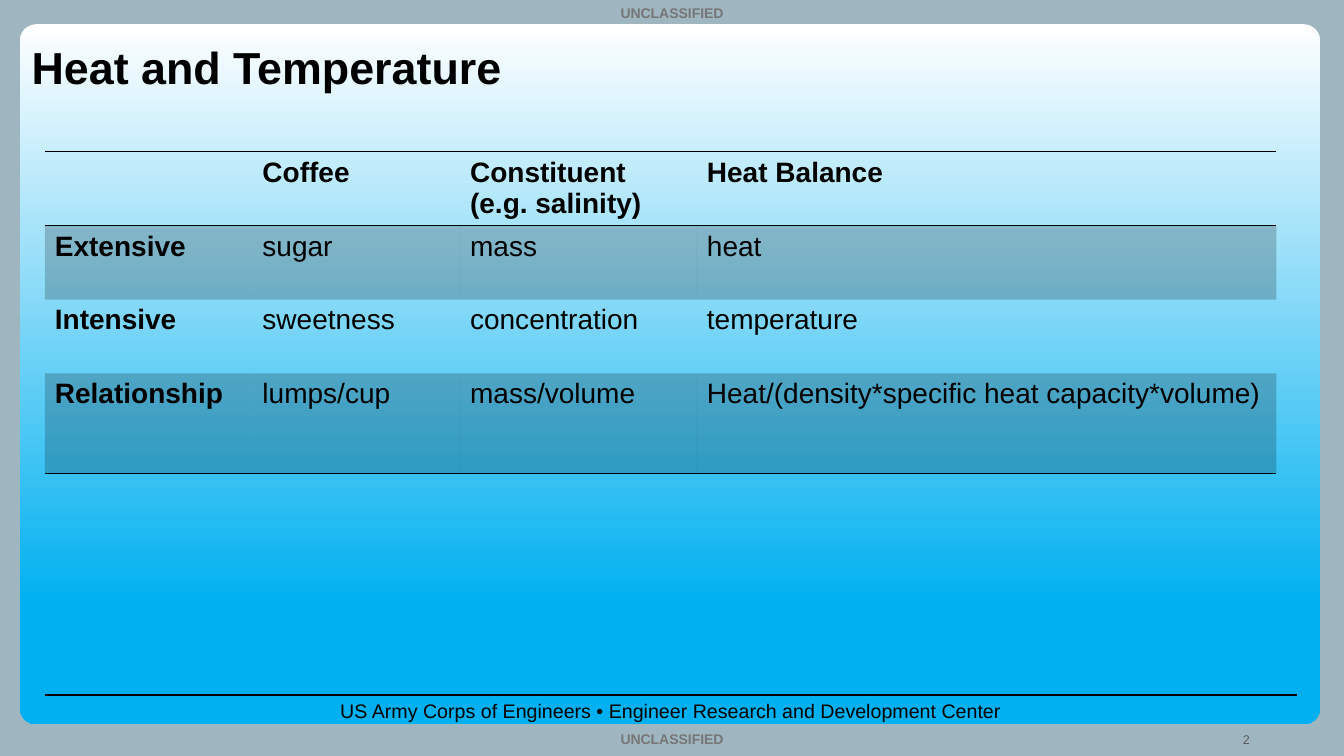
from lxml.etree import SubElement
from pptx import Presentation
from pptx.dml.color import RGBColor
from pptx.enum.shapes import MSO_CONNECTOR as Connector, MSO_SHAPE as Shape
from pptx.enum.text import MSO_ANCHOR as Anchor, PP_ALIGN as Align
from pptx.oxml.ns import qn
from pptx.util import Pt

TITLE = "Heat and Temperature"
MARKING = "UNCLASSIFIED"
FOOTER = "US Army Corps of Engineers • Engineer Research and Development Center"
PAGE = "2"
ROWS = [
    ("", "Coffee", "Constituent (e.g. salinity)", "Heat Balance"),
    ("Extensive", "sugar", "mass", "heat"),
    ("Intensive", "sweetness", "concentration", "temperature"),
    ("Relationship", "lumps/cup", "mass/volume", "Heat/(density*specific heat capacity*volume)"),
]
COLUMN_WIDTHS = (148.3, 148.3, 169.2, 414)
ROW_HEIGHTS = (52.8, 52.8, 52.8, 71.3)
RULED_EDGES = {0: ("a:lnT", "a:lnB"), 3: ("a:lnB",)}
SHADED_ROWS = (1, 3)
WIDTH, HEIGHT = 960, 540
BLACK, GREY = "000000", "767676"
NO_GRID_STYLE = "{2D5ABB26-0587-4C30-8999-92F81FD0307C}"


def color(value):
    return RGBColor.from_string(value)


def write(text_frame, text, size, value=BLACK, bold=False, align=Align.LEFT):
    text_frame.text = text
    text_frame.word_wrap = True
    paragraph = text_frame.paragraphs[0]
    paragraph.alignment = align
    font = paragraph.font
    font.name, font.size, font.bold = "Arial", Pt(size), bold
    font.color.rgb = color(value)
    for run in paragraph.runs:
        run.font.name, run.font.size, run.font.bold = "Arial", Pt(size), bold
        run.font.color.rgb = color(value)


def add_text(slide, box, *style, **options):
    shape = slide.shapes.add_textbox(*map(Pt, box))
    write(shape.text_frame, *style, **options)


def add_panel(slide):
    panel = slide.shapes.add_shape(Shape.ROUNDED_RECTANGLE, Pt(14.4), Pt(17.3), Pt(928.4), Pt(500))
    panel.adjustments[0] = 0.023
    panel.shadow.inherit = False
    panel.line.fill.background()
    panel.fill.gradient()
    panel.fill.gradient_angle = 270
    for stop, position, value in zip(panel.fill.gradient_stops, (0, 0.83), ("FFFFFF", "00B0F0")):
        stop.position = position
        stop.color.rgb = color(value)


def add_footer_rule(slide):
    rule = slide.shapes.add_connector(Connector.STRAIGHT, Pt(32), Pt(496.6), Pt(926.6), Pt(496.6))
    rule.line.color.rgb = color(BLACK)
    rule.line.width = Pt(1.5)
    SubElement(rule._element.spPr, qn("a:effectLst"))


def add_border(cell, edge):
    border = SubElement(cell._tc.get_or_add_tcPr(), qn(edge), w=str(Pt(1)))
    fill = SubElement(border, qn("a:solidFill"))
    SubElement(fill, qn("a:srgbClr"), val=BLACK)


def shade(cell):
    cell.fill.solid()
    cell.fill.fore_color.rgb = color(BLACK)
    tint = cell._tc.tcPr.find(qn("a:solidFill")).find(qn("a:srgbClr"))
    SubElement(tint, qn("a:alpha"), val="20000")


def add_comparison(slide):
    frame = slide.shapes.add_table(
        len(ROWS), len(COLUMN_WIDTHS), Pt(32), Pt(108.4), Pt(sum(COLUMN_WIDTHS)), Pt(sum(ROW_HEIGHTS)))
    table = frame.table
    table.horz_banding = False
    table._tbl.tblPr.find(qn("a:tableStyleId")).text = NO_GRID_STYLE
    for column, width in zip(table.columns, COLUMN_WIDTHS):
        column.width = Pt(width)
    for i, (row, height) in enumerate(zip(table.rows, ROW_HEIGHTS)):
        row.height = Pt(height)
        for j, cell in enumerate(row.cells):
            write(cell.text_frame, ROWS[i][j], 20, bold=i == 0 or j == 0)
            for edge in RULED_EDGES.get(i, ()):
                add_border(cell, edge)
            if i in SHADED_ROWS:
                shade(cell)
            else:
                cell.fill.background()


def main():
    presentation = Presentation()
    presentation.slide_width, presentation.slide_height = Pt(WIDTH), Pt(HEIGHT)
    slide = presentation.slides.add_slide(presentation.slide_layouts[5])
    slide.background.fill.solid()
    slide.background.fill.fore_color.rgb = color("9FB6C0")

    add_panel(slide)
    add_footer_rule(slide)
    add_text(slide, (32.4, 495.4, 893.5, 24.5), FOOTER, 14, align=Align.CENTER)
    for top in (0, 518.4):
        add_text(slide, (0, top, WIDTH, 19.4), MARKING, 10, GREY, True, Align.CENTER)
    add_text(slide, (880.6, 519, 76, 28.8), PAGE, 9, "595959")

    title = slide.shapes.title
    title.left, title.top, title.width, title.height = map(Pt, (15.4, 16, 880, 63.4))
    title.text_frame.vertical_anchor = Anchor.MIDDLE
    write(title.text_frame, TITLE, 32, bold=True)
    slide.shapes._spTree.append(title._element)

    add_comparison(slide)
    presentation.save("out.pptx")


if __name__ == "__main__":
    main()
